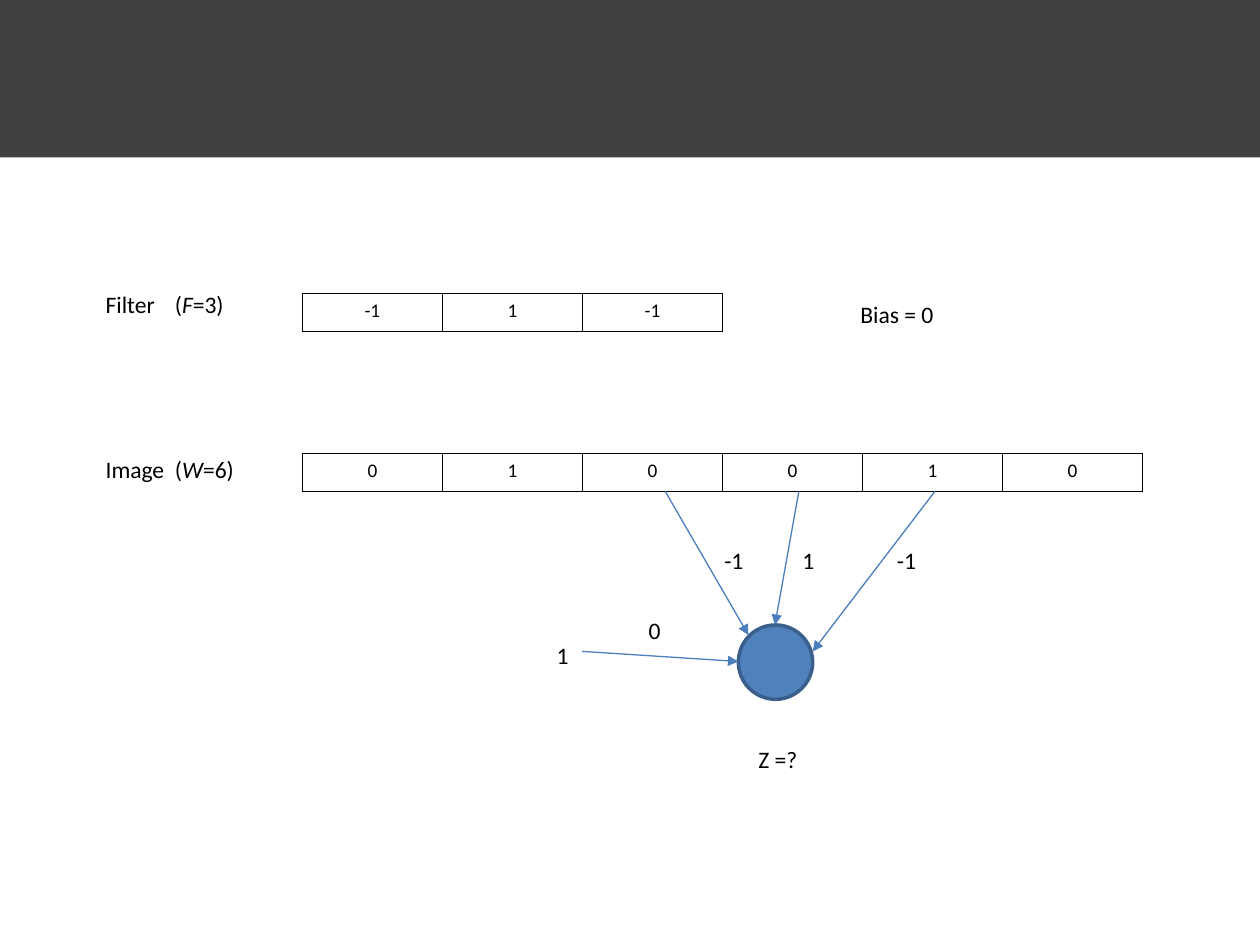
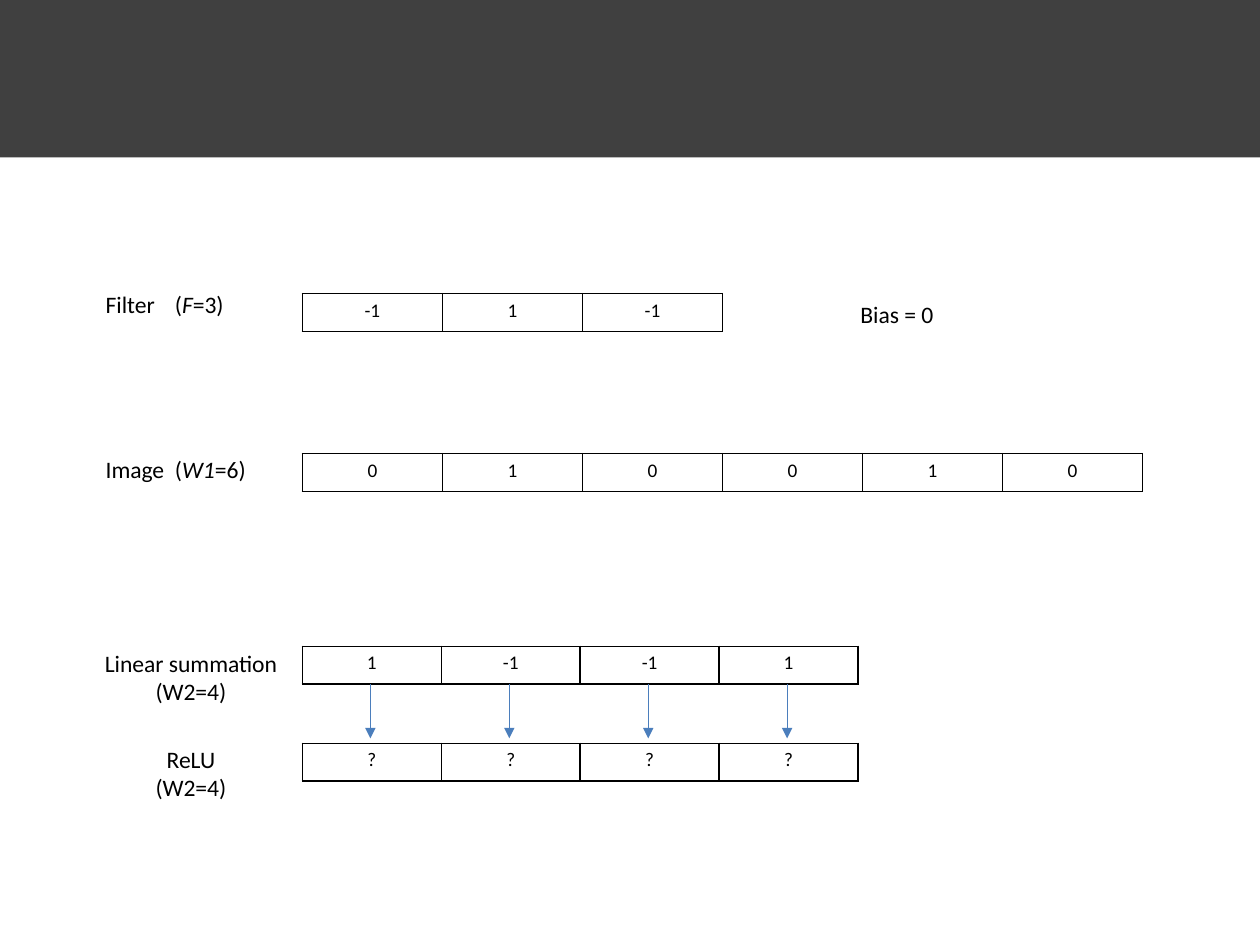
import pptx
import pptx.dml.color
import pptx.enum.shapes
import pptx.enum.text
import pptx.oxml
import pptx.oxml.ns
import pptx.util
from collections import namedtuple
from lxml import etree

Inches = pptx.util.Inches
Pt = pptx.util.Pt
Align = pptx.enum.text.PP_ALIGN
Box = namedtuple("Box", "left top width height")

COLORS = {
    "band": "404040",
    "text": "000000",
    "border": "000000",
    "neuron": "4F81BD",
    "neuron_edge": "3A5F8C",
    "arrow": "4B7EBC",
}
FONT = "Calibri"
LABEL_SIZE = 13.5
CELL_SIZE = 11
STRIP_HEIGHT = 0.3
PAGE = Box(0, 0, 10, 7.5)
GIVENS = Box(0.74, 2.25, 8.33, 1.65)
NEURON = Box(4.32, 3.9, 3.1, 2.3)
OUTPUTS = Box(0.72, 5.1, 6.09, 1.32)


def rgb(name):
    """Return a palette colour."""
    return pptx.dml.color.RGBColor.from_string(COLORS[name])


def style_font(font, size):
    """Apply the shared text style."""
    font.name = FONT
    font.size = Pt(size)
    font.color.rgb = rgb("text")


def add_shape(slide, kind, box, fill):
    """Add a filled preset shape without outline or shadow."""
    shape = slide.shapes.add_shape(kind, *map(Inches, box))
    shape.shadow.inherit = False
    shape.fill.solid()
    shape.fill.fore_color.rgb = rgb(fill)
    shape.line.fill.background()
    return shape


def add_label(slide, left, top, width, text, italic="", align=Align.LEFT):
    """Add an unwrapped label, setting one part of each line in italics."""
    lines = text.split("\n")
    label = slide.shapes.add_textbox(
        Inches(left), Inches(top), Inches(width), Inches(0.1 + 0.23 * len(lines)))
    frame = label.text_frame
    frame.word_wrap = False
    frame.auto_size = pptx.enum.text.MSO_AUTO_SIZE.SHAPE_TO_FIT_TEXT
    for index, line in enumerate(lines):
        paragraph = frame.add_paragraph() if index else frame.paragraphs[0]
        paragraph.alignment = align
        for part in line.partition(italic) if italic else (line,):
            run = paragraph.add_run()
            run.text = part
            style_font(run.font, LABEL_SIZE)
            if italic and part == italic:
                run.font.italic = True


def add_cell_borders(cell):
    """Draw a thin line on every side of a table cell."""
    properties = cell._tc.get_or_add_tcPr()
    for side in ("lnL", "lnR", "lnT", "lnB"):
        properties.append(pptx.oxml.parse_xml(
            f'<a:{side} {pptx.oxml.ns.nsdecls("a")} w="{Pt(1)}"><a:solidFill>'
            f'<a:srgbClr val="{COLORS["border"]}"/></a:solidFill></a:{side}>'))


def add_strip(slide, left, top, width, values):
    """Add a one-row table of equal cells."""
    table = slide.shapes.add_table(
        1, len(values), Inches(left), Inches(top), Inches(width), Inches(STRIP_HEIGHT)).table
    table.first_row = table.horz_banding = False
    for column, cell, value in zip(table.columns, table.rows[0].cells, values):
        column.width = Inches(width / len(values))
        cell.margin_left = cell.margin_right = Inches(0.07)
        cell.margin_top = cell.margin_bottom = Inches(0.04)
        add_cell_borders(cell)
        cell.fill.background()
        cell.text_frame.text = value
        paragraph = cell.text_frame.paragraphs[0]
        paragraph.alignment = Align.CENTER
        style_font(paragraph.runs[0].font, CELL_SIZE)


def add_arrow(slide, start, end):
    """Add a thin arrow from start to end."""
    arrow = slide.shapes.add_connector(
        pptx.enum.shapes.MSO_CONNECTOR.STRAIGHT, *map(Inches, (*start, *end)))
    arrow.line.color.rgb = rgb("arrow")
    arrow.line.width = Pt(0.75)
    etree.SubElement(arrow.line._get_or_add_ln(), pptx.oxml.ns.qn("a:tailEnd"), type="triangle")
    etree.SubElement(arrow._element.spPr, pptx.oxml.ns.qn("a:effectLst"))


def add_givens(slide, box, image_symbol):
    """Show the filter, the bias and the image."""
    strip_left = box.left + 1.66
    size_left = box.left + 0.55
    image_top = box.top + 1.31
    image_width = box.width - 1.66
    add_strip(slide, strip_left, image_top + 0.04, image_width, "010010")
    add_label(slide, box.left, image_top, 0.67, "Image")
    add_strip(slide, strip_left, box.top + 0.08, image_width / 2, ["-1", "1", "-1"])
    add_label(slide, box.left, box.top, 0.6, "Filter")
    add_label(slide, size_left, box.top, 0.6, "(F=3)", "F")
    add_label(slide, size_left, image_top, 0.59 + 0.09 * len(image_symbol),
              f"({image_symbol}=6)", image_symbol)
    add_label(slide, box.left + 5.99, box.top + 0.08, 0.79, "Bias = 0")


def add_neuron(slide, box):
    """Show a neuron with its weighted inputs, bias and output."""
    def at(x, y):
        return box.left + x, box.top + y

    neuron = add_shape(slide, pptx.enum.shapes.MSO_SHAPE.OVAL,
                       (*at(1.54, 1.06), 0.59, 0.59), "neuron")
    neuron.line.color.rgb = rgb("neuron_edge")
    neuron.line.width = Pt(2)
    inputs = [
        (0.96, (1.62, 1.14), "-1", 1.33, 0.36),
        (2.02, (1.83, 1.06), "1", 1.95, 0.3),
        (3.1, (2.13, 1.27), "-1", 2.7, 0.36),
    ]
    for pixel_x, entry, weight, weight_x, weight_width in inputs:
        add_arrow(slide, at(pixel_x, 0), at(*entry))
        add_label(slide, *at(weight_x, 0.38), weight_width, weight)
    add_arrow(slide, at(0.3, 1.27), at(1.54, 1.35))
    add_label(slide, *at(0, 1.14), 0.3, "1")
    add_label(slide, *at(0.73, 0.94), 0.3, "0")
    add_label(slide, *at(1.6, 1.96), 0.52, "Z =?")


def add_outputs(slide, box):
    """Show the linear sums and the activations they lead to."""
    strip_left = box.left + 1.68
    strip_width = box.width - 1.68
    sums = ["1", "-1", "-1", "1"]
    stages = [
        (0, 0.03, "Linear summation", sums),
        (0.76, 0.8, "ReLU", "?" * len(sums)),
    ]
    for label_y, strip_y, stage, values in stages:
        add_strip(slide, strip_left, box.top + strip_y, strip_width, values)
        add_label(slide, box.left, box.top + label_y, 1.59,
                  f"{stage}\n(W2=4)", align=Align.CENTER)
    for index in range(len(sums)):
        x = strip_left + 0.54 + index * strip_width / len(sums)
        add_arrow(slide, (x, box.top + 0.33), (x, box.top + 0.76))


def add_page(deck, image_symbol):
    """Add a slide with the header band and the given data."""
    slide = deck.slides.add_slide(deck.slide_layouts[6])
    add_shape(slide, pptx.enum.shapes.MSO_SHAPE.RECTANGLE, (0, 0, PAGE.width, 1.25), "band")
    add_givens(slide, GIVENS, image_symbol)
    return slide


def main():
    """Build and save the deck."""
    deck = pptx.Presentation()
    deck.slide_width = Inches(PAGE.width)
    deck.slide_height = Inches(PAGE.height)
    add_neuron(add_page(deck, "W"), NEURON)
    add_outputs(add_page(deck, "W1"), OUTPUTS)
    deck.save("out.pptx")


if __name__ == "__main__":
    main()
